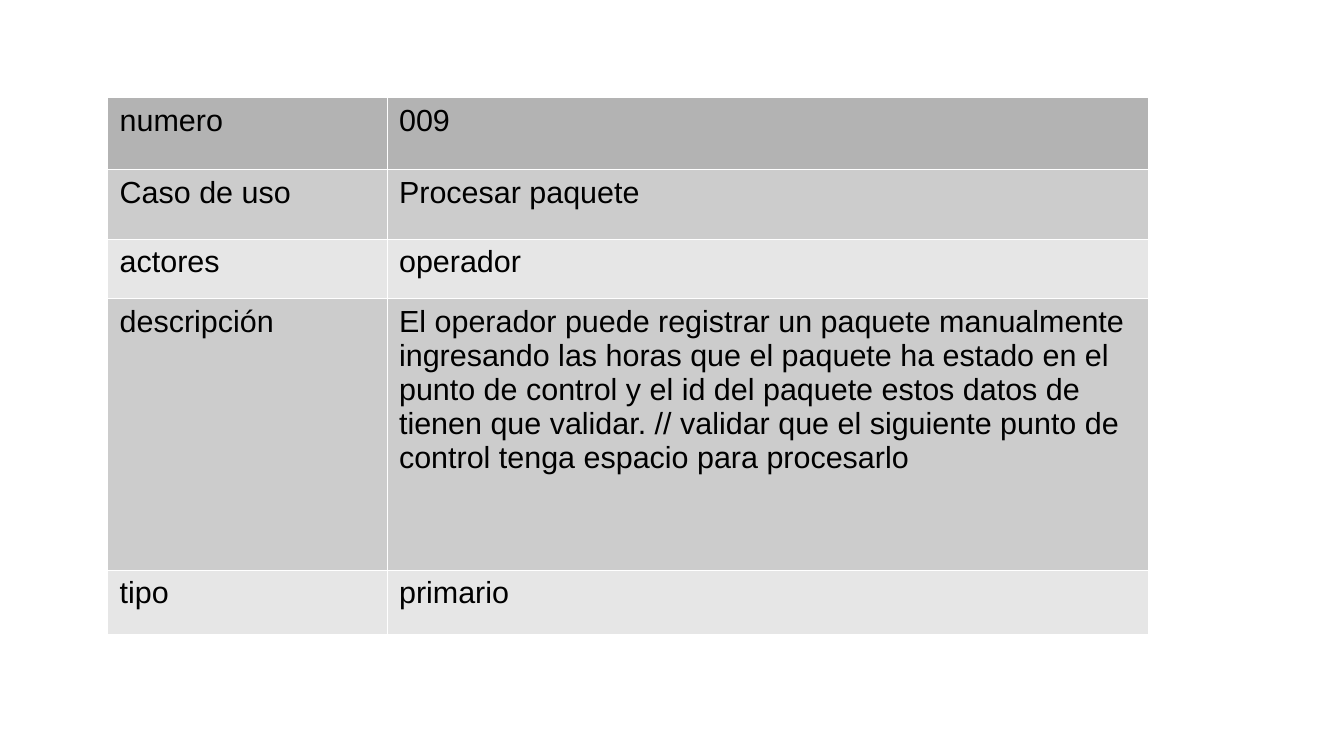
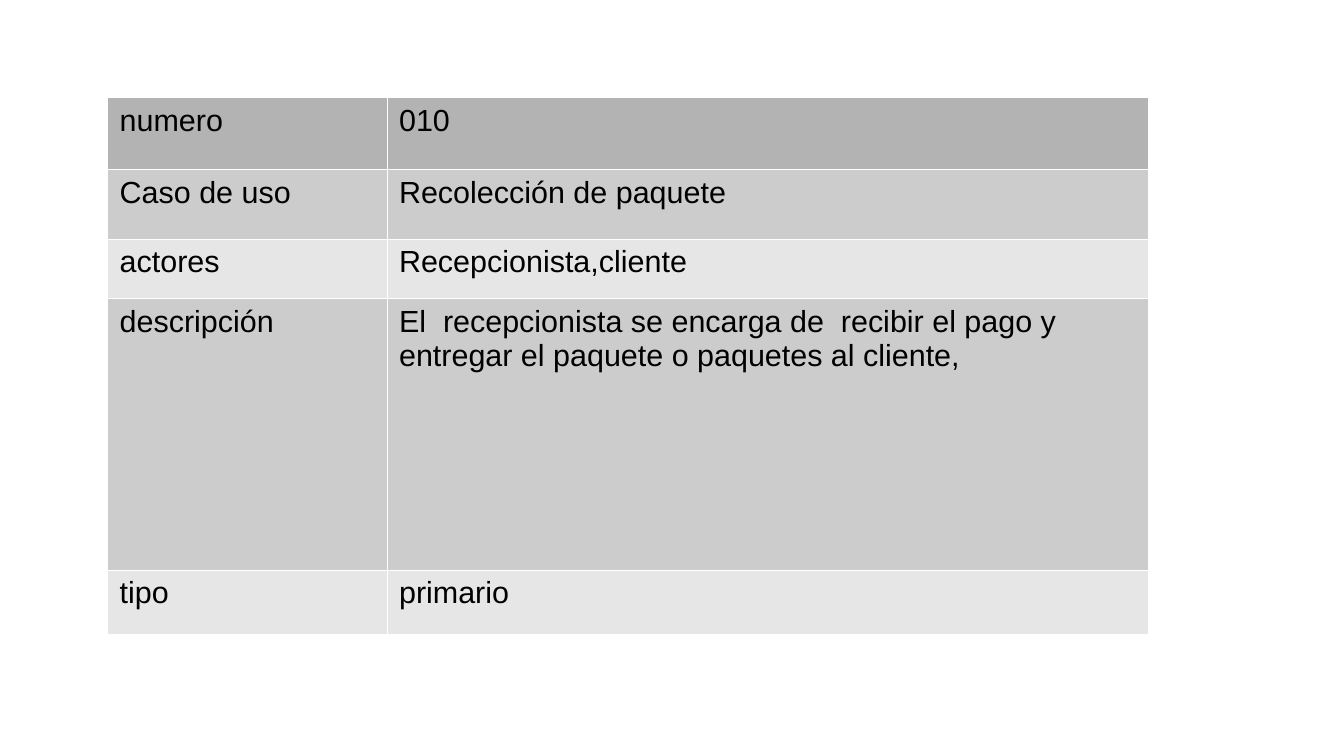
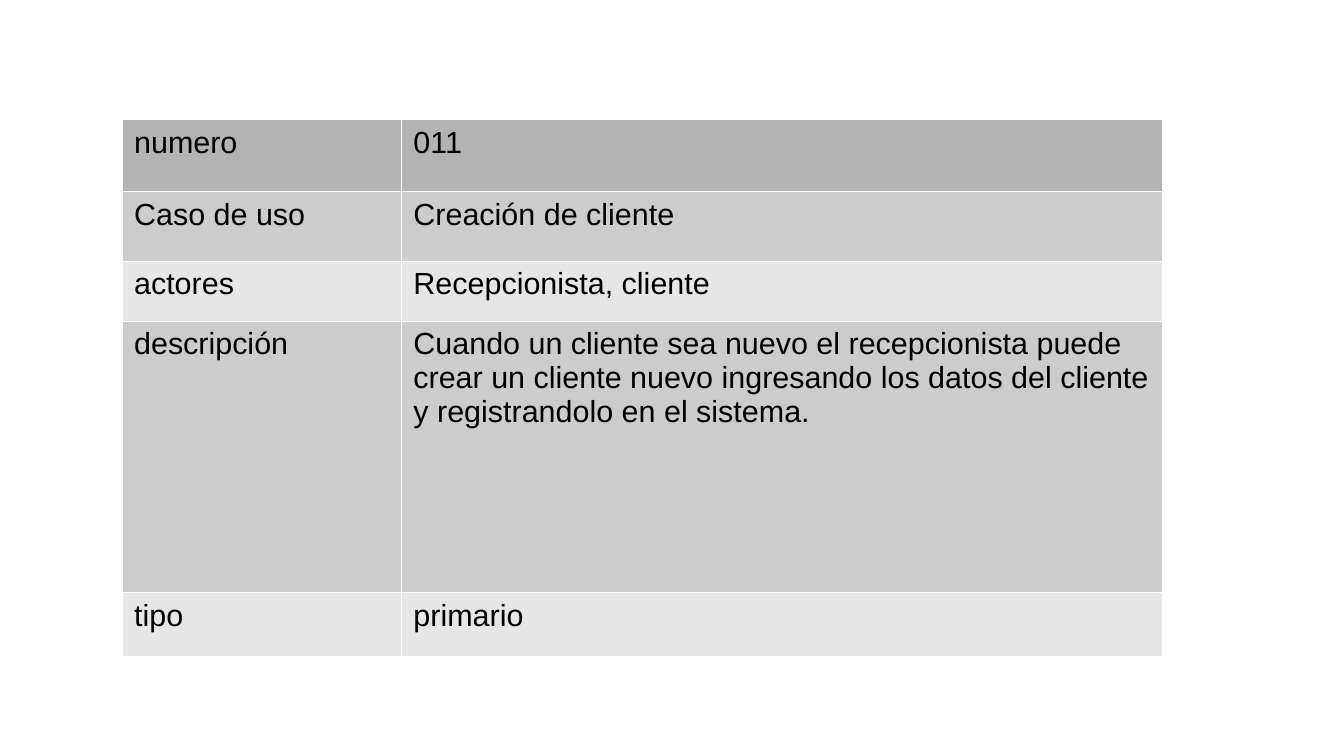
from dataclasses import dataclass

import lxml.etree
import pptx
import pptx.dml.color
import pptx.oxml.ns
import pptx.util

Cm = pptx.util.Cm
Pt = pptx.util.Pt
RGB = pptx.dml.color.RGBColor


@dataclass(frozen=True)
class Theme:
    font: str = "Arial"
    size: int = 18
    text: str = "000000"
    background: str = "FFFFFF"
    border: str = "FFFFFF"
    border_width: float = 0.06
    header: str = "B3B3B3"
    bands: tuple = ("CCCCCC", "E6E6E6")


THEME = Theme()
SLIDE_SIZE = (28, 15.75)
COLUMNS = (5.82, 15.85)
ROWS = (1.5, 1.45, 1.24, 5.66, 1.32)
LABELS = ("numero", "Caso de uso", "actores", "descripción", "tipo")
USE_CASES = (
    (2.24, 2.03, (
        "009", "Procesar paquete", "operador",
        "El operador puede registrar un paquete manualmente ingresando las horas "
        "que el paquete ha estado en el punto de control y el id del paquete estos "
        "datos de tienen que validar. // validar que el siguiente punto de control "
        "tenga espacio para procesarlo",
        "primario")),
    (2.24, 2.03, (
        "010", "Recolección de paquete", "Recepcionista,cliente",
        "El  recepcionista se encarga de  recibir el pago y entregar el paquete "
        "o paquetes al cliente,",
        "primario")),
    (2.54, 2.49, (
        "011", "Creación de cliente", "Recepcionista, cliente",
        "Cuando un cliente sea nuevo el recepcionista puede crear un cliente nuevo "
        "ingresando los datos del cliente y registrandolo en el sistema.",
        "primario")),
)


def set_borders(cell):
    qn = pptx.oxml.ns.qn
    tc_pr = cell._tc.get_or_add_tcPr()
    for side in ("a:lnL", "a:lnR", "a:lnT", "a:lnB"):
        ln = lxml.etree.SubElement(tc_pr, qn(side), w=str(int(Pt(THEME.border_width))))
        fill = lxml.etree.SubElement(ln, qn("a:solidFill"))
        lxml.etree.SubElement(fill, qn("a:srgbClr"), val=THEME.border)


def fill_cell(cell, text, color):
    set_borders(cell)
    cell.fill.solid()
    cell.fill.fore_color.rgb = RGB.from_string(color)
    r = cell.text_frame.paragraphs[0].add_run()
    r.text = text
    font_format = {"name": THEME.font, "size": Pt(THEME.size), "bold": False}
    for name, value in font_format.items():
        setattr(r.font, name, value)
    r.font.color.rgb = RGB.from_string(THEME.text)


def row_color(index):
    return THEME.bands[(index - 1) % len(THEME.bands)] if index else THEME.header


def add_use_case_table(s, left, top, values):
    table = s.shapes.add_table(len(ROWS), len(COLUMNS), Cm(left), Cm(top),
                               Cm(sum(COLUMNS)), Cm(sum(ROWS))).table
    for name, value in {"first_row": False, "horz_banding": False}.items():
        setattr(table, name, value)
    for column, width in zip(table.columns, COLUMNS):
        column.width = Cm(width)
    for i, (row, height, texts) in enumerate(zip(table.rows, ROWS, zip(LABELS, values))):
        row.height = Cm(height)
        for cell, text in zip(row.cells, texts):
            fill_cell(cell, text, row_color(i))


def main():
    prs = pptx.Presentation()
    prs.slide_width, prs.slide_height = map(Cm, SLIDE_SIZE)
    background = prs.slide_master.background.fill
    background.solid()
    background.fore_color.rgb = RGB.from_string(THEME.background)
    for left, top, values in USE_CASES:
        s = prs.slides.add_slide(prs.slide_layouts[6])
        add_use_case_table(s, left, top, values)
    prs.save("out.pptx")


if __name__ == "__main__":
    main()
